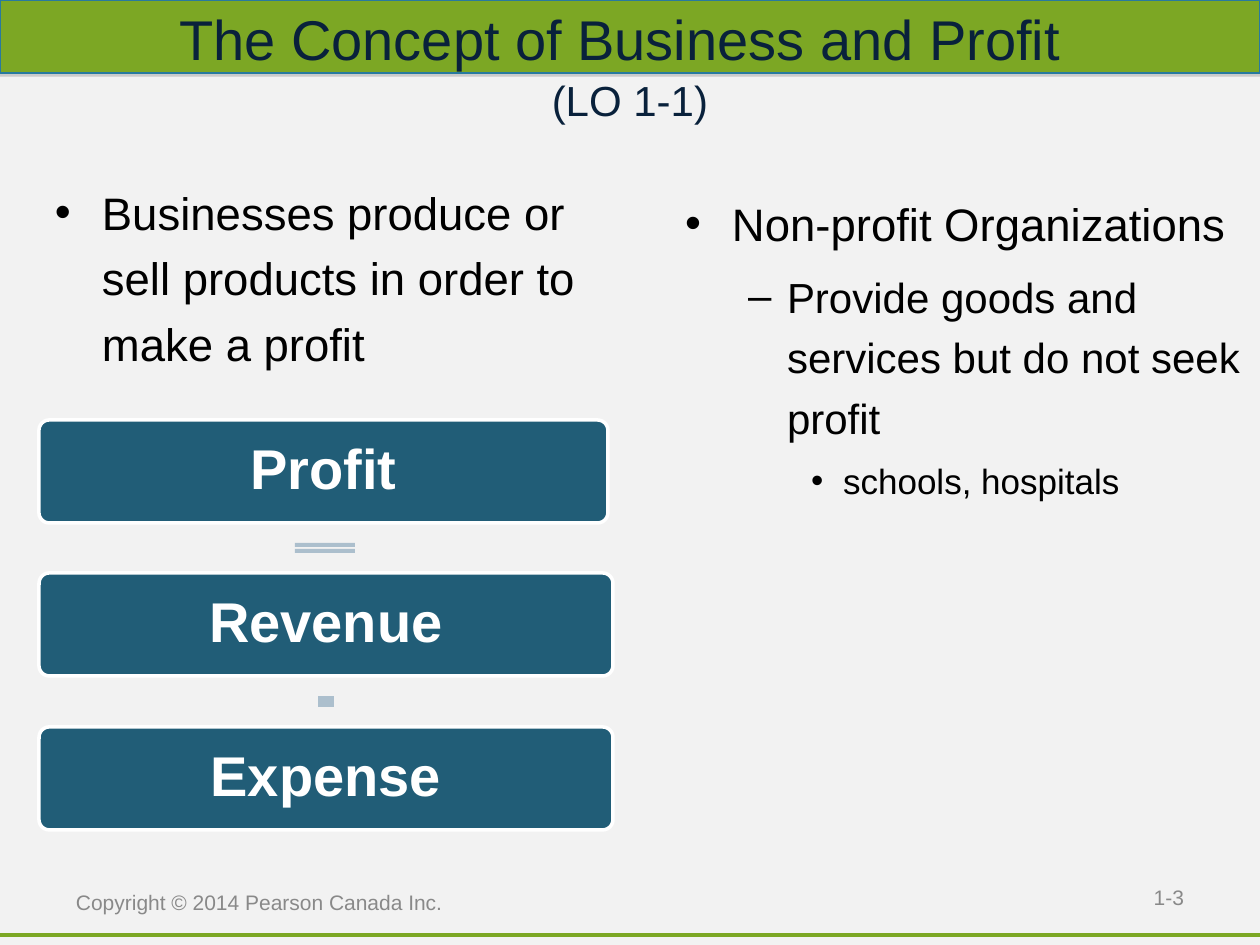
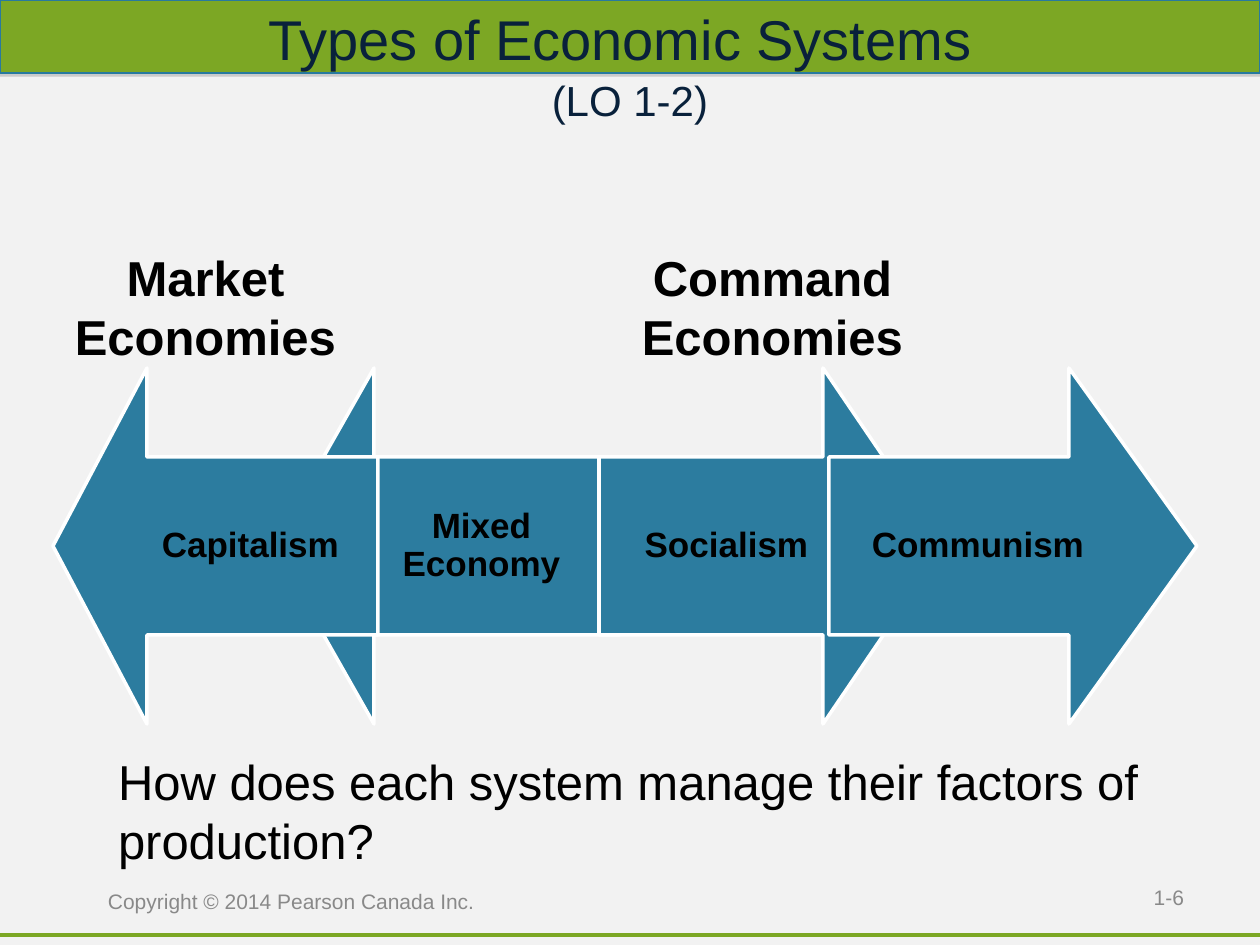
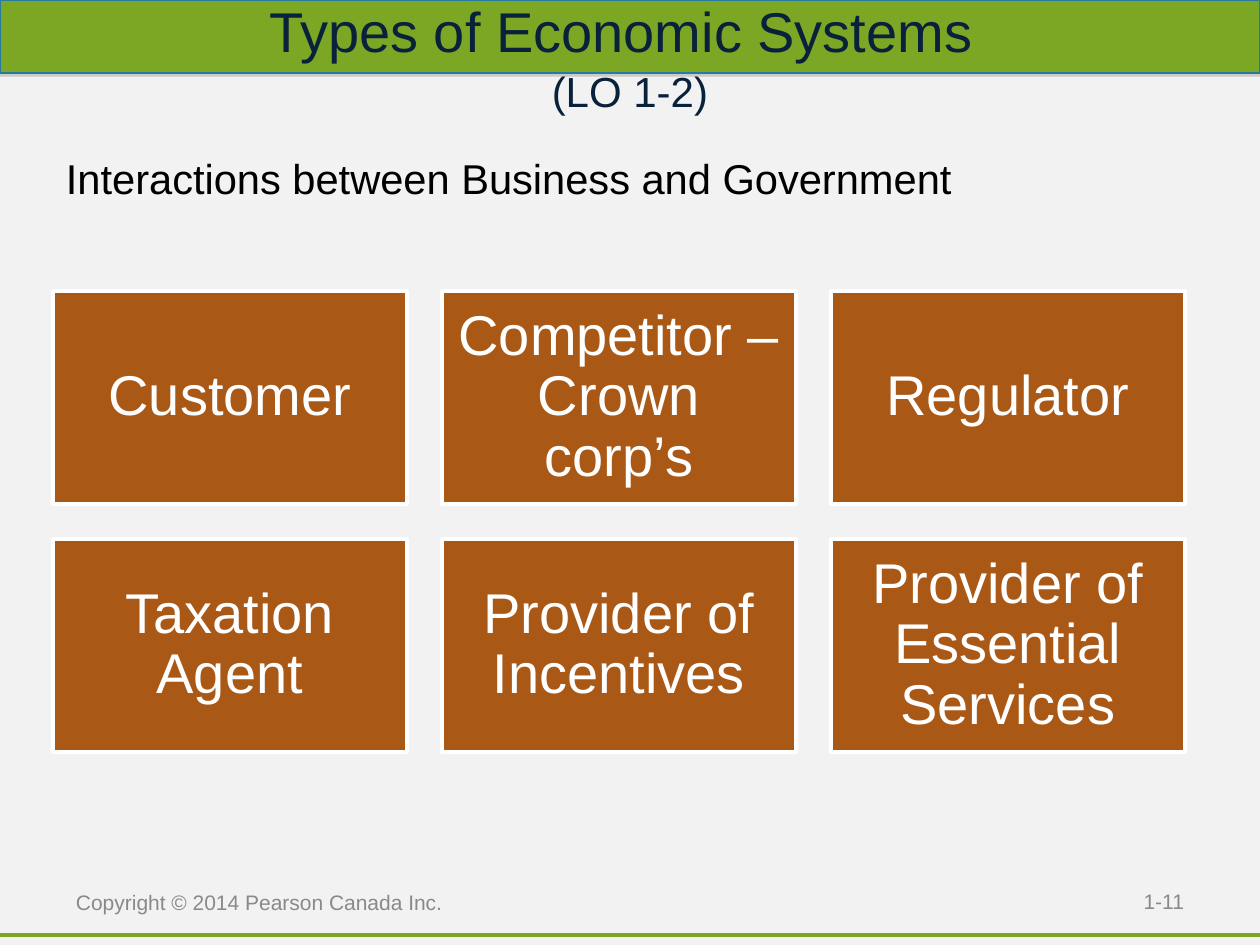
from dataclasses import dataclass

from lxml import etree
from pptx import Presentation
from pptx import util as u
from pptx.dml.color import RGBColor
from pptx.enum import shapes, text
from pptx.oxml import ns

COPYRIGHT = "Copyright © 2014 Pearson Canada Inc."

PROFIT = {
    "title": "The Concept of Business and Profit", "objective": "(LO 1-1)",
    "gap_size": 40, "title_height": 116,
    "number": "1-3", "number_top": 872, "copyright_at": (63, 882),
}
BUSINESSES = [(0, "Businesses produce or sell products in order to make a profit")]
NON_PROFITS = [
    (0, "Non-profit Organizations"),
    (1, "Provide goods and services but do not seek profit"),
    (2, "schools, hospitals"),
]
EQUATION = [("Profit", 569), ("Revenue", 574), ("Expense", 574)]
SIGNS = [
    [(295, 543, 60, 4), (295, 549, 60, 4)],
    [(318, 696, 16, 11)],
]

SYSTEMS = {
    "title": "Types of Economic Systems", "objective": "(LO 1-2)",
    "gap_size": 40, "title_height": 116,
    "number": "1-6", "number_top": 872, "copyright_at": (95, 881),
}
ARROWS = [
    ("Mixed Economy", 273, 374, 620, (103, 33)),
    ("Socialism", 944, 823, 599, (33, 123)),
    ("Capitalism", 53, 147, 378, (103, 33)),
    ("Communism", 1197, 1069, 829, (33, 103)),
]
ECONOMIES = [("Command Economies", 620), ("Market Economies", 53)]
QUESTION = "How does each system manage their factors of production?"

GOVERNMENT = {
    "title": "Types of Economic Systems", "objective": "(LO 1-2)",
    "gap_size": 36, "title_height": 105,
    "number": "1-11", "number_top": 876, "copyright_at": (63, 882),
}
INTERACTIONS = "Interactions between Business and Government"
ROLES = [
    ["Customer", "Competitor – Crown corp’s", "Regulator"],
    ["Taxation Agent", "Provider of Incentives", "Provider of Essential Services"],
]


@dataclass(frozen=True)
class Theme:
    font: str = "Arial"
    paper: str = "F2F2F2"
    band: str = "7CA724"
    band_edge: str = "287A9E"
    shade: str = "808080"
    title: str = "09213B"
    body: str = "000000"
    footer: str = "898989"
    white: str = "FFFFFF"
    equation: str = "215D77"
    sign: str = "ACBFCD"
    arrow: str = "2C7C9F"
    role: str = "AA5816"
    title_size: float = 32
    objective_size: float = 24
    card_size: float = 32
    arrow_size: float = 20
    statement_size: float = 28
    lead_size: float = 23.8
    footer_size: float = 12
    edge: float = 2


THEME = Theme()
WIDTH, HEIGHT = 1260, 945
LEVELS = [
    {"bullet": "•", "left": 47, "hang": 47, "size": 26, "before": 6.5},
    {"bullet": "–", "left": 102, "hang": 39, "size": 24, "before": 6},
    {"bullet": "•", "left": 158, "hang": 32, "size": 20, "before": 5},
]
CENTER = text.PP_ALIGN.CENTER
MIDDLE = text.MSO_ANCHOR.MIDDLE


def px(length):
    return round(length * u.Inches(1) / 126)


def rgb(color):
    return RGBColor.from_string(color)


def style(font, size, color, bold=False):
    font.name = THEME.font
    font.size = u.Pt(size)
    font.color.rgb = rgb(color)
    font.bold = bold


def set_frame(frame, insets=(13, 6, 13, 6), anchor=text.MSO_ANCHOR.TOP):
    frame.word_wrap = True
    frame.vertical_anchor = anchor
    (frame.margin_left, frame.margin_top,
     frame.margin_right, frame.margin_bottom) = map(px, insets)
    return frame


def add_box(slide, at, **frame_options):
    box = slide.shapes.add_textbox(*map(px, at))
    return set_frame(box.text_frame, **frame_options)


def write(frame, words, size, color, bold=False, align=text.PP_ALIGN.LEFT, spacing=None):
    frame.text = words
    line = frame.paragraphs[0]
    line.alignment = align
    line.line_spacing = spacing
    style(line.runs[0].font, size, color, bold)


def paint(shape, fill, edge=None, width=THEME.edge):
    shape.shadow.inherit = False
    shape.fill.solid()
    shape.fill.fore_color.rgb = rgb(fill)
    if edge:
        shape.line.color.rgb = rgb(edge)
        shape.line.width = u.Pt(width)
    else:
        shape.line.fill.background()
    return shape


def add_outline(slide, contours, fill, edge=None):
    start = contours[0][0]
    builder = slide.shapes.build_freeform(*start, scale=px(1000) / 1000)
    for contour in contours:
        if contour[0] != start:
            builder.move_to(*contour[0])
        builder.add_line_segments(contour[1:], close=True)
    return paint(builder.convert_to_shape(), fill, edge)


def add_band(slide):
    rule = slide.shapes.add_connector(
        shapes.MSO_CONNECTOR.STRAIGHT, 0, px(935), px(WIDTH), px(935))
    rule.line.color.rgb = rgb(THEME.band)
    rule.line.width = u.Pt(THEME.edge)
    etree.SubElement(rule._element.spPr, ns.qn("a:effectLst"))

    band = slide.shapes.add_shape(shapes.MSO_SHAPE.RECTANGLE, 0, 0, px(WIDTH), px(73))
    paint(band, THEME.band, THEME.band_edge, 0.75)
    effects = band._element.spPr.find(ns.qn("a:effectLst"))
    shadow = etree.SubElement(
        effects, ns.qn("a:outerShdw"), dist=str(u.Pt(1.8)), dir="5400000", rotWithShape="0")
    shade = etree.SubElement(shadow, ns.qn("a:srgbClr"), val=THEME.shade)
    etree.SubElement(shade, ns.qn("a:alpha"), val="35000")


def add_title(slide, content):
    frame = add_box(slide, (0, 0, WIDTH, content["title_height"]),
                    insets=(32, 32, 32, 32), anchor=MIDDLE)
    write(frame, content["title"], THEME.title_size, THEME.title, align=CENTER)
    line = frame.paragraphs[0]
    gap = line.add_run()
    gap.text = " "
    style(gap.font, content["gap_size"], THEME.title)
    line.add_line_break()
    objective = line.add_run()
    objective.text = content["objective"]
    style(objective.font, THEME.objective_size, THEME.title)


def add_footer(slide, content):
    left, top = content["copyright_at"]
    copyright_line = add_box(slide, (left, top, 431, 40), anchor=MIDDLE)
    write(copyright_line, COPYRIGHT, THEME.footer_size, THEME.footer)
    number = add_box(slide, (903, content["number_top"], 294, 50), anchor=MIDDLE)
    write(number, content["number"], THEME.footer_size, THEME.footer,
          align=text.PP_ALIGN.RIGHT)


def start_slide(deck, content):
    slide = deck.slides.add_slide(deck.slide_layouts[6])
    add_band(slide)
    add_title(slide, content)
    add_footer(slide, content)
    return slide


def add_bullets(slide, at, points):
    frame = add_box(slide, at)
    frame.text = "\n".join(words for _, words in points)
    for index, (line, (level, _)) in enumerate(zip(frame.paragraphs, points)):
        look = LEVELS[level]
        line.level = level
        line.line_spacing = 1.2
        line.space_before = u.Pt(look["before"] if index else 0)
        properties = line._p.get_or_add_pPr()
        properties.set("marL", str(px(look["left"])))
        properties.set("indent", str(-px(look["hang"])))
        etree.SubElement(properties, ns.qn("a:buFont"), typeface=THEME.font)
        etree.SubElement(properties, ns.qn("a:buChar"), char=look["bullet"])
        style(line.runs[0].font, look["size"], THEME.body)


def build_profit(deck):
    slide = start_slide(deck, PROFIT)
    add_bullets(slide, (42, 168, 577, 210), BUSINESSES)
    add_bullets(slide, (672, 179, 588, 472), NON_PROFITS)
    for row, (term, width) in enumerate(EQUATION):
        card = slide.shapes.add_shape(
            shapes.MSO_SHAPE.ROUNDED_RECTANGLE,
            px(39), px(420 + row * 307 // 2), px(width), px(103))
        card.adjustments[0] = 0.1
        paint(card, THEME.equation, THEME.white)
        frame = set_frame(card.text_frame, (20, 20, 20, 20), MIDDLE)
        write(frame, term, THEME.card_size, THEME.white, True, CENTER, 0.9)
    for bars in SIGNS:
        contours = [[(x, y), (x + w, y), (x + w, y + h), (x, y + h)] for x, y, w, h in bars]
        add_outline(slide, contours, THEME.sign)


def build_systems(deck):
    slide = start_slide(deck, SYSTEMS)
    middle, head, shaft = 546, 178, 89
    for system, tip, neck, tail, (left, right) in ARROWS:
        outline = [
            (tip, middle), (neck, middle - head), (neck, middle - shaft),
            (tail, middle - shaft), (tail, middle + shaft),
            (neck, middle + shaft), (neck, middle + head),
        ]
        arrow = add_outline(slide, [outline], THEME.arrow, THEME.white)
        frame = set_frame(arrow.text_frame, (left, 134, right, 134), MIDDLE)
        write(frame, system, THEME.arrow_size, THEME.body, True, CENTER, 0.9)
    for economy, left in ECONOMIES:
        frame = add_box(slide, (left, 242, 305, 131))
        write(frame, economy, THEME.statement_size, THEME.body, True, CENTER)
    question = add_box(slide, (105, 746, 1092, 131))
    write(question, QUESTION, THEME.statement_size, THEME.body)


def build_government(deck):
    slide = start_slide(deck, GOVERNMENT)
    lead = add_box(slide, (53, 147, 1155, 63))
    write(lead, INTERACTIONS, THEME.lead_size, THEME.body)
    width, height, gap = 354, 213, 35
    for row, roles in enumerate(ROLES):
        for column, role in enumerate(roles):
            card = slide.shapes.add_shape(
                shapes.MSO_SHAPE.RECTANGLE,
                px(53 + column * (width + gap)), px(291 + row * (height + gap)),
                px(width), px(height))
            paint(card, THEME.role, THEME.white)
            frame = set_frame(card.text_frame, (16, 16, 16, 16), MIDDLE)
            write(frame, role, THEME.card_size, THEME.white, False, CENTER, 0.9)


def main():
    deck = Presentation()
    deck.slide_width, deck.slide_height = px(WIDTH), px(HEIGHT)
    background = deck.slide_master.background.fill
    background.solid()
    background.fore_color.rgb = rgb(THEME.paper)
    build_profit(deck)
    build_systems(deck)
    build_government(deck)
    deck.save("out.pptx")


if __name__ == "__main__":
    main()
